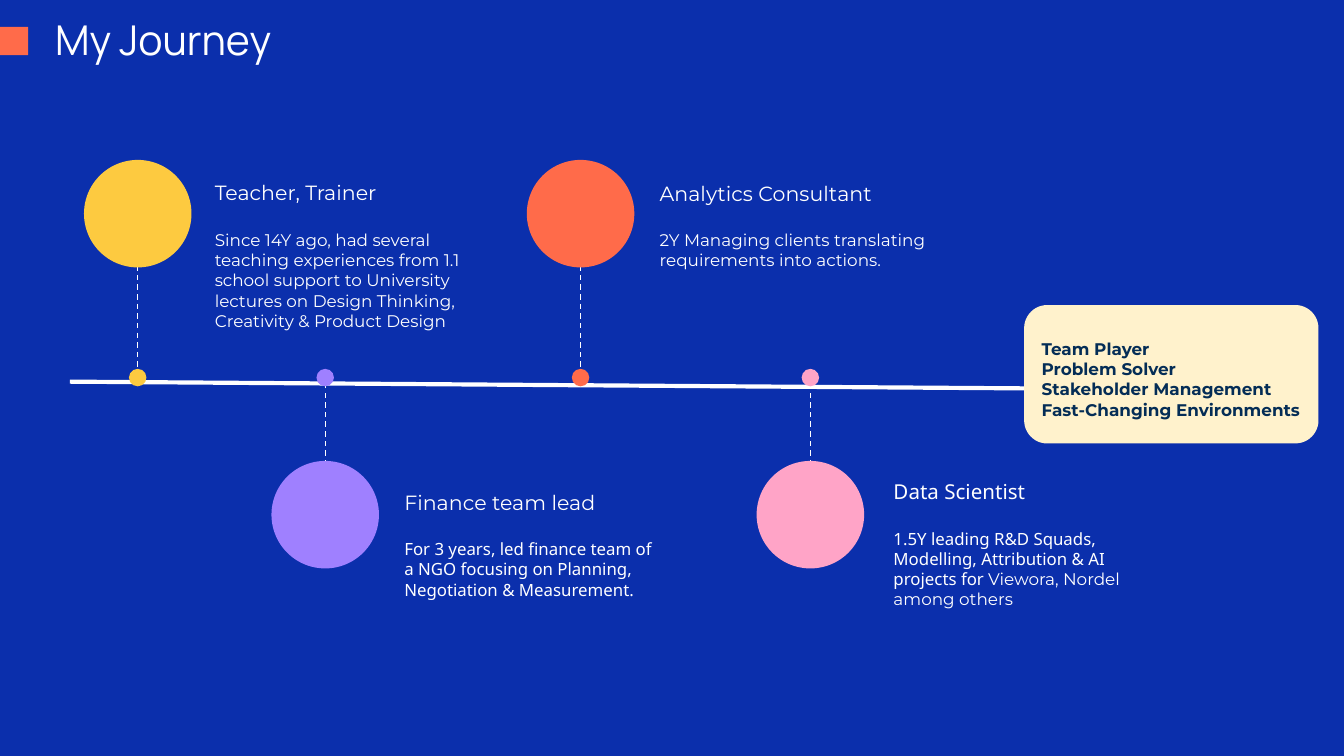
from dataclasses import dataclass

from lxml.etree import SubElement
from pptx import Presentation
from pptx.dml.color import RGBColor
from pptx.enum.dml import MSO_LINE
from pptx.enum.shapes import MSO_CONNECTOR, MSO_SHAPE
from pptx.enum.text import MSO_ANCHOR, MSO_AUTO_SIZE, PP_ALIGN
from pptx.oxml.ns import qn
from pptx.util import Inches, Pt


@dataclass(frozen=True)
class Theme:
    blue: str = "0B2FAC"
    white: str = "FFFFFF"
    orange: str = "FF6B4A"
    yellow: str = "FDCA40"
    purple: str = "9F80FF"
    pink: str = "FFA4C7"
    cream: str = "FFF2CC"
    navy: str = "042D56"
    title_font: str = "Manrope"
    main_font: str = "Montserrat"
    alt_font: str = "Noto Sans"
    title_size: float = 22
    heading_size: float = 11
    body_size: float = 9


T = Theme()
COLS, ROWS = 100, 56.25     # square grid cells over the whole 16:9 slide
CELL = 10 / COLS            # inches
CIRCLE, DOT = 8, 1.3        # diameters in cells
AXIS = (5.2, 28.4, 76.2, 28.9)


def grid(*cells):
    return [Inches(c * CELL) for c in cells]


def rgb(color):
    return RGBColor.from_string(color)


def add_filled(s, kind, box, color):
    sp = s.shapes.add_shape(kind, *grid(*box))
    sp.shadow.inherit = False
    sp.fill.solid()
    sp.fill.fore_color.rgb = rgb(color)
    sp.line.fill.background()
    return sp


def add_disc(s, x, y, size, color):
    """Circle centred on x, y."""
    add_filled(s, MSO_SHAPE.OVAL, (x - size / 2, y - size / 2, size, size), color)


def add_line(s, ends, width, dash=None):
    line = s.shapes.add_connector(MSO_CONNECTOR.STRAIGHT, *grid(*ends))
    line.line.color.rgb = rgb(T.white)
    line.line.width = Pt(width)
    if dash:
        line.line.dash_style = dash
    SubElement(line._element.spPr, qn("a:effectLst"))


def place(sp, box):
    sp.left, sp.top, sp.width, sp.height = grid(*box)


def format_frame(tf, anchor=MSO_ANCHOR.TOP):
    values = {"word_wrap": True, "auto_size": MSO_AUTO_SIZE.NONE,
              "vertical_anchor": anchor}
    values |= {f"margin_{side}": Inches(0.1)
               for side in ("left", "top", "right", "bottom")}
    for name, value in values.items():
        setattr(tf, name, value)


def write(p, runs, size, color=T.white, bold=False, before=0, leading=1.0):
    """Fill a paragraph with (text, font) runs."""
    for name, value in {"alignment": PP_ALIGN.LEFT, "space_before": Pt(before),
                        "space_after": Pt(0), "line_spacing": leading}.items():
        setattr(p, name, value)
    for text, font in runs:
        r = p.add_run()
        r.text = text
        for name, value in {"name": font, "size": Pt(size), "bold": bold}.items():
            setattr(r.font, name, value)
        r.font.color.rgb = rgb(color)


def add_title(s, box):
    # Accent square at the slide edge
    add_filled(s, MSO_SHAPE.RECTANGLE, (0, 2, 2.1, 2.1), T.orange)
    place(s.shapes.title, box)
    tf = s.shapes.title.text_frame
    format_frame(tf, MSO_ANCHOR.MIDDLE)
    write(tf.paragraphs[0], [("My Journey", T.title_font)], T.title_size, leading=0.9)


def add_milestone(s, x, above, color, box, heading, body):
    """Stem, circle and dot on column x, with the text in its box."""
    dot_y = 28.1
    circle_y = 15.9 if above else 38.3
    stem_end = 14 if above else 37.5
    add_line(s, (x, stem_end, x, dot_y), 0.75, MSO_LINE.DASH)
    add_disc(s, x, circle_y, CIRCLE, color)
    add_disc(s, x, dot_y, DOT, color)

    tf = s.shapes.add_textbox(*grid(*box)).text_frame
    format_frame(tf)
    write(tf.paragraphs[0], [heading], T.heading_size, leading=Pt(13.4))
    write(tf.add_paragraph(), body, T.body_size, before=13.3, leading=Pt(10.8))


def add_skills(s, card, box, skills):
    add_filled(s, MSO_SHAPE.ROUNDED_RECTANGLE, card, T.cream)
    body = s.placeholders[1]
    s.shapes.element.append(body.element)   # bring the list above its card
    place(body, box)
    tf = body.text_frame
    format_frame(tf)
    for i, skill in enumerate(skills):
        p = tf.add_paragraph() if i else tf.paragraphs[0]
        write(p, [(skill, T.main_font)], T.body_size, T.navy, bold=True)
        pPr = p._p.get_or_add_pPr()
        pPr.set("marL", "0")
        pPr.set("indent", "0")
        SubElement(pPr, qn("a:buNone"))


MILESTONES = [
    (10.25, True, T.yellow, (15, 12.4, 23.6, 16.3),
     ("Teacher, Trainer", T.main_font),
     [("Since 14Y ago, had several teaching experiences from 1.1 school support "
       "to University lectures on Design Thinking, Creativity & Product Design",
       T.main_font)]),
    (24.2, False, T.purple, (29.1, 35.4, 20.8, 13.3),
     ("Finance team lead", T.main_font),
     [("For 3 years, led finance team of a NGO focusing on Planning, "
       "Negotiation & Measurement.", T.alt_font)]),
    (43.2, True, T.orange, (48.1, 12.4, 21.9, 8.8),
     ("Analytics Consultant", T.main_font),
     [("2Y Managing clients translating requirements into actions.", T.main_font)]),
    (60.3, False, T.pink, (65.5, 34.6, 19.4, 11.8),
     ("Data Scientist", T.alt_font),
     [("1.5Y leading R&D Squads, Modelling, Attribution & AI projects for ", T.alt_font),
      ("Viewora, Nordel among others", T.main_font)]),
]
SKILLS = ["Team Player", "Problem Solver", "Stakeholder Management",
          "Fast-Changing Environments"]


def main():
    prs = Presentation()
    prs.slide_width, prs.slide_height = grid(COLS, ROWS)
    s = prs.slides.add_slide(prs.slide_layouts[1])
    s.background.fill.solid()
    s.background.fill.fore_color.rgb = rgb(T.blue)

    add_title(s, (3.1, 0, 34.5, 6.3))
    # Timeline and its milestones
    add_line(s, AXIS, 2.25)
    for milestone in MILESTONES:
        add_milestone(s, *milestone)
    # Outcome at the end of the timeline
    add_skills(s, (76.2, 22.7, 21.9, 10.3), (76.5, 24.2, 21.9, 9.6), SKILLS)
    prs.save("out.pptx")


if __name__ == "__main__":
    main()
